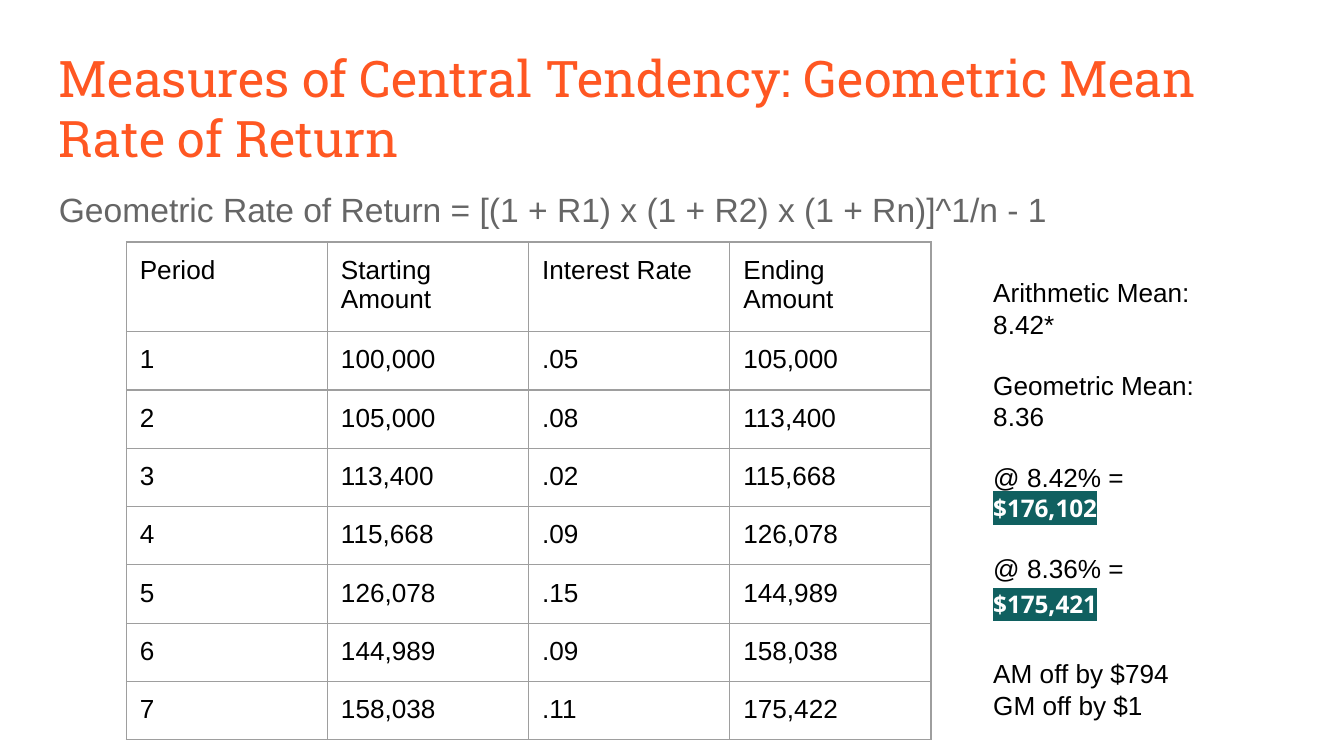
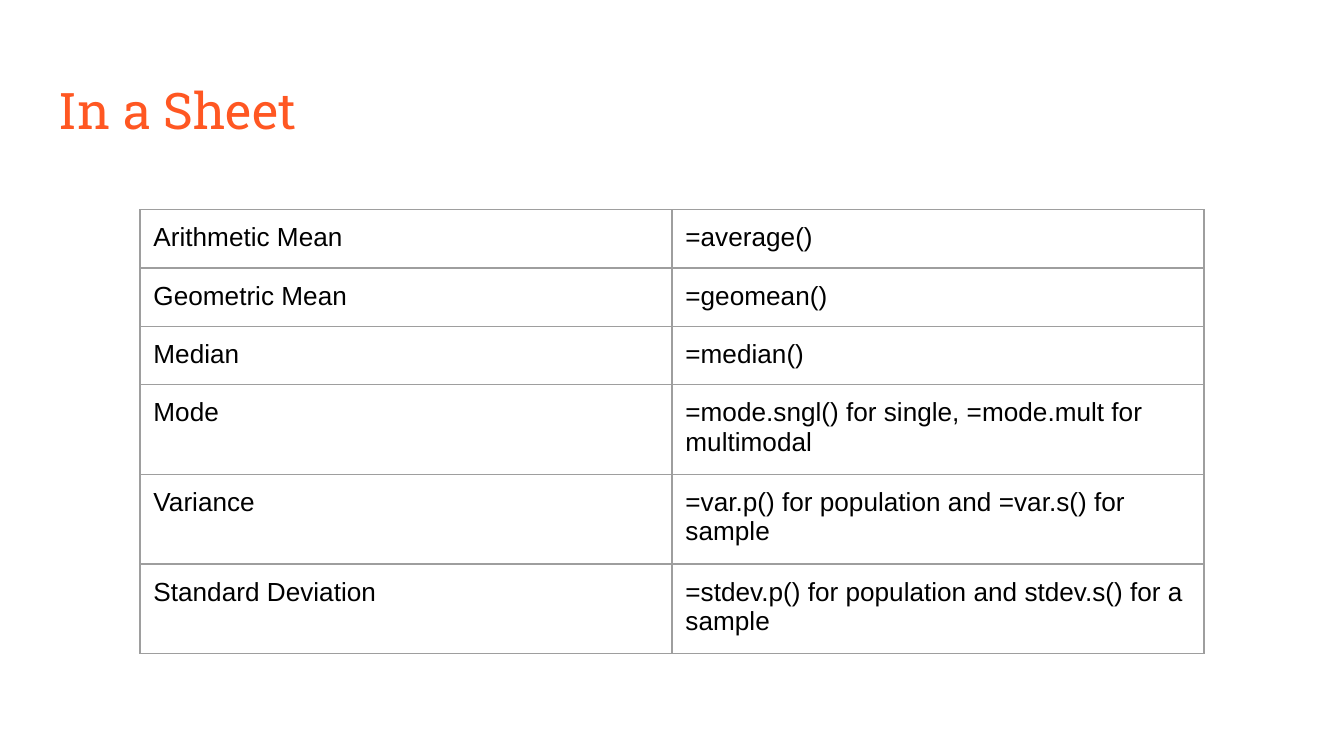
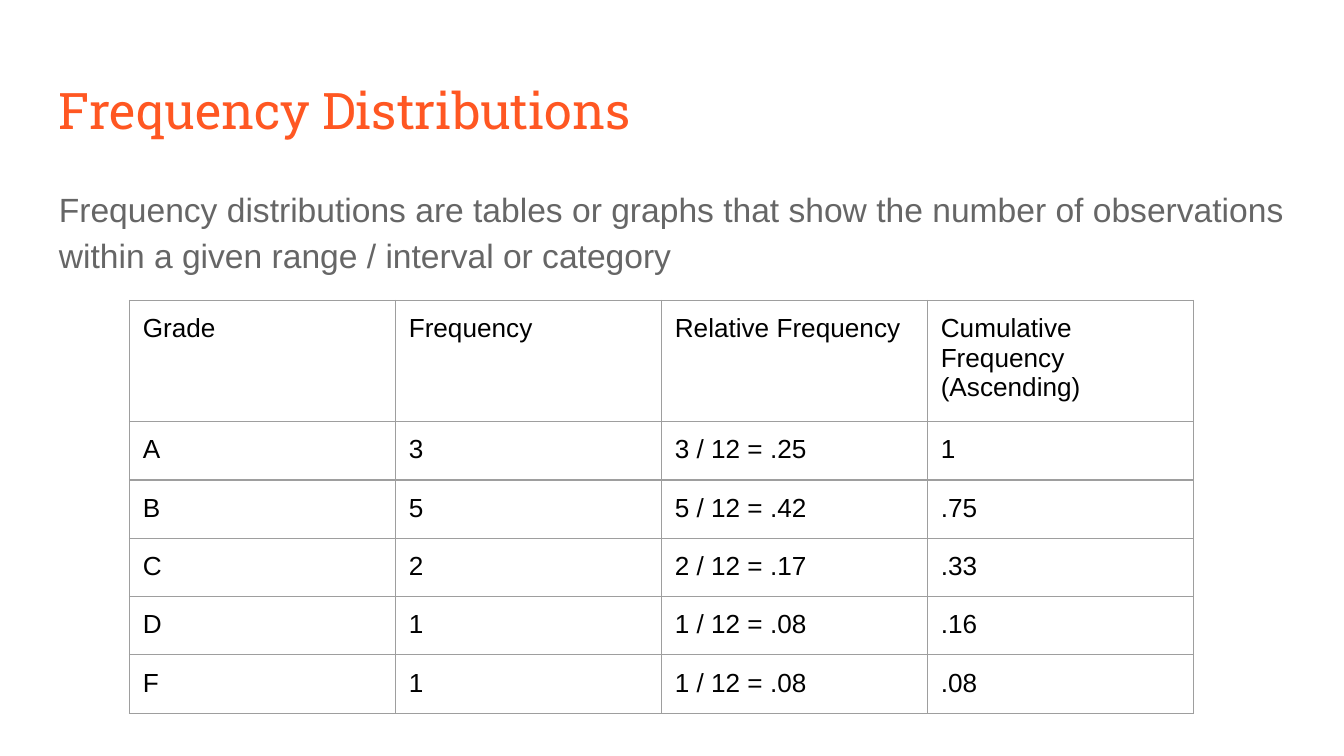
from lxml import etree
from pptx import Presentation, util as u
from pptx.dml.color import RGBColor
from pptx.enum import text
from pptx.oxml.ns import qn

COLOURS = {
    "title": "FF5722",
    "body": "666666",
    "ink": "000000",
    "grid": "9E9E9E",
    "result": "FFFFFF",
    "result_back": "106060",
}
TITLE_FONT, BODY_FONT, RESULT_FONT = "Roboto Slab", "Arial", "Open Sans"
LEFT, WIDTH = 24.5, 671.2
INSET = 7.2
TITLE_TOP, BODY_TOP = 35.4, 90.7

RETURNS = [
    ("Period", "Starting Amount", "Interest Rate", "Ending Amount"),
    ("1", "100,000", ".05", "105,000"),
    ("2", "105,000", ".08", "113,400"),
    ("3", "113,400", ".02", "115,668"),
    ("4", "115,668", ".09", "126,078"),
    ("5", "126,078", ".15", "144,989"),
    ("6", "144,989", ".09", "158,038"),
    ("7", "158,038", ".11", "175,422"),
]
FORMULAS = [
    ("Arithmetic Mean", "=average()"),
    ("Geometric Mean", "=geomean()"),
    ("Median", "=median()"),
    ("Mode", "=mode.sngl() for single, =mode.mult for multimodal"),
    ("Variance", "=var.p() for population and =var.s() for sample"),
    ("Standard Deviation", "=stdev.p() for population and stdev.s() for a sample"),
]
GRADES = [
    ("Grade", "Frequency", "Relative Frequency", "Cumulative Frequency (Ascending)"),
    ("A", "3", "3 / 12 = .25", "1"),
    ("B", "5", "5 / 12 = .42", ".75"),
    ("C", "2", "2 / 12 = .17", ".33"),
    ("D", "1", "1 / 12 = .08", ".16"),
    ("F", "1", "1 / 12 = .08", ".08"),
]
# Each line: space before, plain text, highlighted result
SUMMARY = [
    (0, "Arithmetic Mean:", ""),
    (0, "8.42*", ""),
    (16, "Geometric Mean: 8.36", ""),
    (16, "@ 8.42% = ", "$176,102"),
    (16, "@ 8.36% =", ""),
    (0, "", "$175,421"),
    (21, "AM off by $794", ""),
    (0, "GM off by $1", ""),
]


def set_font(font, name, size, colour):
    font.name = name
    font.size = u.Pt(size)
    font.color.rgb = RGBColor.from_string(COLOURS[colour])


def set_insets(holder):
    holder.margin_left = holder.margin_right = u.Pt(INSET)
    holder.margin_top = holder.margin_bottom = u.Pt(INSET)


def add_frame(page, left, top, width, height):
    box = page.shapes.add_textbox(u.Pt(left), u.Pt(top), u.Pt(width), u.Pt(height))
    frame = box.text_frame
    frame.word_wrap = True
    frame.vertical_anchor = text.MSO_ANCHOR.TOP
    set_insets(frame)
    return frame


def add_title(page, words, top=TITLE_TOP):
    para = add_frame(page, LEFT, top, WIDTH, 45).paragraphs[0]
    para.text = words
    set_font(para.font, TITLE_FONT, 27, "title")


def add_body(page, words):
    para = add_frame(page, LEFT, BODY_TOP, WIDTH, 269).paragraphs[0]
    para.text = words
    para.line_spacing = 1.15
    set_font(para.font, BODY_FONT, 18, "body")


def add_borders(cell):
    properties = cell._tc.get_or_add_tcPr()
    for side in ("lnL", "lnR", "lnT", "lnB"):
        line = etree.SubElement(properties, qn("a:" + side), w=str(u.Pt(0.75)))
        fill = etree.SubElement(line, qn("a:solidFill"))
        etree.SubElement(fill, qn("a:srgbClr"), val=COLOURS["grid"])


def add_grid(page, rows, left, top, column_width, row_height):
    columns = len(rows[0])
    table = page.shapes.add_table(
        len(rows), columns, u.Pt(left), u.Pt(top),
        u.Pt(columns * column_width), u.Pt(len(rows) * row_height)).table
    table.first_row = table.horz_banding = False
    for column in table.columns:
        column.width = u.Pt(column_width)
    for row, values in zip(table.rows, rows):
        row.height = u.Pt(row_height)
        for cell, value in zip(row.cells, values):
            cell.text = value
            set_font(cell.text_frame.paragraphs[0].font, BODY_FONT, 14, "ink")
            set_insets(cell)
            add_borders(cell)
            cell.fill.background()


def add_result(para, words):
    span = para.add_run()
    span.text = words
    set_font(span.font, RESULT_FONT, 13, "result")
    span.font.bold = True
    # The highlight belongs right after the text fill
    highlight = etree.Element(qn("a:highlight"))
    etree.SubElement(highlight, qn("a:srgbClr"), val=COLOURS["result_back"])
    span.font._element.find(qn("a:solidFill")).addnext(highlight)


def add_summary(page):
    frame = add_frame(page, 525, 141, 123, 258)
    for index, (gap, words, result) in enumerate(SUMMARY):
        para = frame.add_paragraph() if index else frame.paragraphs[0]
        para.space_before = u.Pt(gap)
        set_font(para.font, BODY_FONT, 14, "ink")
        if words:
            para.add_run().text = words
        else:
            para.line_spacing = 1.2
        if result:
            add_result(para, result)


def main():
    deck = Presentation()
    deck.slide_width, deck.slide_height = u.Pt(720), u.Pt(405)
    returns, formulas, grades = (
        deck.slides.add_slide(deck.slide_layouts[6]) for _ in range(3))

    # Geometric mean rate of return
    add_title(returns, "Measures of Central Tendency: Geometric Mean Rate of Return", 18)
    add_body(returns, "Geometric Rate of Return = [(1 + R1) x (1 + R2) x (1 + Rn)]^1/n - 1")
    add_grid(returns, RETURNS, 67.7, 129.6, 107.8, 31.15)
    add_summary(returns)

    # Spreadsheet formulas
    add_title(formulas, "In a Sheet")
    add_grid(formulas, FORMULAS, 75, 112.4, 285, 30)

    # Frequency distributions
    add_title(grades, "Frequency Distributions")
    add_body(grades, "Frequency distributions are tables or graphs that show the number "
                     "of observations within a given range / interval or category")
    add_grid(grades, GRADES, 69.3, 161, 142.5, 30)

    deck.save("out.pptx")


if __name__ == "__main__":
    main()
